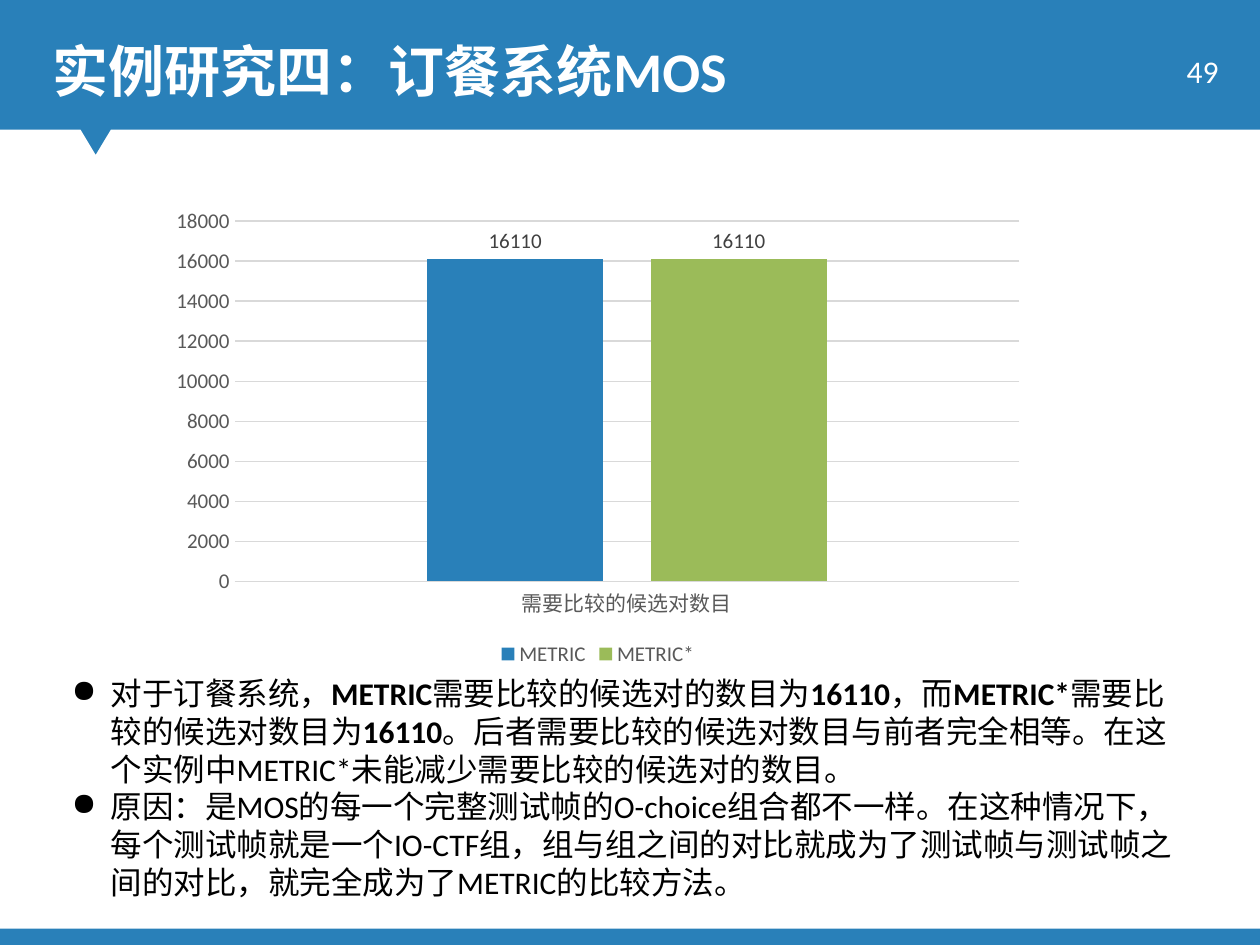
from dataclasses import dataclass

from lxml import etree
from pptx import Presentation
from pptx.chart.data import CategoryChartData
from pptx.dml.color import RGBColor
from pptx.enum.chart import XL_CHART_TYPE, XL_LABEL_POSITION, XL_LEGEND_POSITION, XL_TICK_MARK
from pptx.enum.shapes import MSO_SHAPE
from pptx.enum.text import MSO_ANCHOR, PP_ALIGN
from pptx.oxml.ns import qn
from pptx.util import Inches, Pt

RECTANGLE = MSO_SHAPE.RECTANGLE
TOP, MIDDLE = MSO_ANCHOR.TOP, MSO_ANCHOR.MIDDLE
LEFT, RIGHT = PP_ALIGN.LEFT, PP_ALIGN.RIGHT
CLUSTERED = XL_CHART_TYPE.COLUMN_CLUSTERED
OUTSIDE_END = XL_LABEL_POSITION.OUTSIDE_END
BOTTOM = XL_LEGEND_POSITION.BOTTOM
NO_TICK = XL_TICK_MARK.NONE


@dataclass(frozen=True)
class Theme:
    """Colours, font and type sizes of the slide."""
    font: str = "Calibri"
    blue: str = "2980B9"
    green: str = "9BBB59"
    white: str = "FFFFFF"
    black: str = "000000"
    axis_text: str = "595959"
    label_text: str = "404040"
    grid: str = "D9D9D9"
    title_size: int = 32
    body_size: int = 18
    chart_size: int = 12


THEME = Theme()
PANEL_OUTLINE = [(0, 1.03), (0.64, 1.03), (0.76, 1.23), (0.88, 1.03),
                 (10, 1.03), (10, 7.37), (0, 7.37)]
CANDIDATE_PAIRS = [("METRIC", 16110, THEME.blue), ("METRIC*", 16110, THEME.green)]
FINDINGS = [
    [("对于订餐系统，", False), ("METRIC", True),
     ("需要比较的候选对的数目为", False), ("16110", True),
     ("，而", False), ("METRIC*", True),
     ("需要比较的候选对数目为", False), ("16110", True),
     ("。后者需要比较的候选对数目与前者完全相等。"
      "在这个实例中METRIC*未能减少需要比较的候选对的数目。", False)],
    [("原因：是MOS的每一个完整测试帧的O-choice组合都不一样。"
      "在这种情况下，每个测试帧就是一个IO-CTF组，组与组之间的对比"
      "就成为了测试帧与测试帧之间的对比，就完全成为了METRIC的比较方法。", False)],
]


def style_font(font, size, color, bold=False):
    """Apply the theme font with a size, colour and weight."""
    font.name = THEME.font
    font.size = Pt(size)
    font.color.rgb = RGBColor.from_string(color)
    font.bold = bold


def paint(shape, color):
    """Give a shape a flat fill without outline or shadow."""
    shape.shadow.inherit = False
    shape.fill.solid()
    shape.fill.fore_color.rgb = RGBColor.from_string(color)
    shape.line.fill.background()


def add_backdrop(slide):
    """Draw the blue ground and the white panel with its notch."""
    ground = slide.shapes.add_shape(RECTANGLE, 0, 0, Inches(10), Inches(7.5))
    paint(ground, THEME.blue)
    start, *corners = [(Inches(x), Inches(y)) for x, y in PANEL_OUTLINE]
    outline = slide.shapes.build_freeform(*start)
    outline.add_line_segments(corners, close=True)
    paint(outline.convert_to_shape(), THEME.white)


def add_bullet(paragraph):
    """Hang a round bullet in front of a paragraph."""
    properties = paragraph._p.get_or_add_pPr()
    properties.set("marL", str(Inches(0.31)))
    properties.set("indent", str(-Inches(0.31)))
    etree.SubElement(properties, qn("a:buChar")).set("char", "●")


def add_text(slide, box, paragraphs, size, color, align=LEFT, anchor=TOP, bulleted=False):
    """Add a wrapping text box from paragraphs of (text, bold) runs."""
    frame = slide.shapes.add_textbox(*map(Inches, box)).text_frame
    frame.word_wrap = True
    frame.vertical_anchor = anchor
    for index, runs in enumerate(paragraphs):
        paragraph = frame.add_paragraph() if index else frame.paragraphs[0]
        paragraph.alignment = align
        if bulleted:
            add_bullet(paragraph)
        for text, bold in runs:
            run = paragraph.add_run()
            run.text = text
            style_font(run.font, size, color, bold)


def style_line(line):
    """Draw a thin grid-coloured line."""
    line.color.rgb = RGBColor.from_string(THEME.grid)
    line.width = Pt(0.75)


def style_axes(chart):
    """Set the category axis, value axis and gridlines."""
    for axis in (chart.category_axis, chart.value_axis):
        axis.major_tick_mark = axis.minor_tick_mark = NO_TICK
        style_font(axis.tick_labels.font, THEME.chart_size, THEME.axis_text)
    style_line(chart.category_axis.format.line)
    values = chart.value_axis
    values.minimum_scale, values.maximum_scale, values.major_unit = 0, 18000, 2000
    values.format.line.fill.background()
    style_line(values.major_gridlines.format.line)


def style_series(series, color):
    """Colour one series and label its columns."""
    series.format.fill.solid()
    series.format.fill.fore_color.rgb = RGBColor.from_string(color)
    labels = series.data_labels
    labels.show_value = True
    labels.position = OUTSIDE_END
    style_font(labels.font, THEME.chart_size, THEME.label_text)


def add_pairs_chart(slide, box):
    """Add the column chart of candidate pairs to compare."""
    data = CategoryChartData()
    data.categories = ["需要比较的候选对数目"]
    for name, count, _ in CANDIDATE_PAIRS:
        data.add_series(name, [count])
    chart = slide.shapes.add_chart(CLUSTERED, *map(Inches, box), data).chart
    style_font(chart.font, THEME.chart_size, THEME.black)
    chart.has_title = False
    chart.has_legend = True
    chart.legend.position = BOTTOM
    chart.legend.include_in_layout = False
    style_font(chart.legend.font, THEME.chart_size, THEME.axis_text)
    style_axes(chart)
    columns = chart.plots[0]
    columns.vary_by_categories = False
    columns.gap_width = 219
    columns.overlap = -27
    for series, (_, _, color) in zip(columns.series, CANDIDATE_PAIRS):
        style_series(series, color)


def main():
    """Build the slide and save it."""
    deck = Presentation()
    deck.slide_width, deck.slide_height = Inches(10), Inches(7.5)
    slide = deck.slides.add_slide(deck.slide_layouts[6])
    add_backdrop(slide)
    add_text(slide, (0.32, 0.24, 7.76, 0.64), [[("实例研究四：订餐系统MOS", True)]],
             THEME.title_size, THEME.white)
    add_text(slide, (8.87, 0.31, 0.9, 0.5), [[("49", False)]],
             THEME.body_size, THEME.white, RIGHT, MIDDLE)
    add_text(slide, (0.47, 5.3, 9.04, 1.92), FINDINGS,
             THEME.body_size, THEME.black, bulleted=True)
    add_pairs_chart(slide, (1.26, 1.58, 6.97, 3.75))
    deck.save("out.pptx")


if __name__ == "__main__":
    main()
